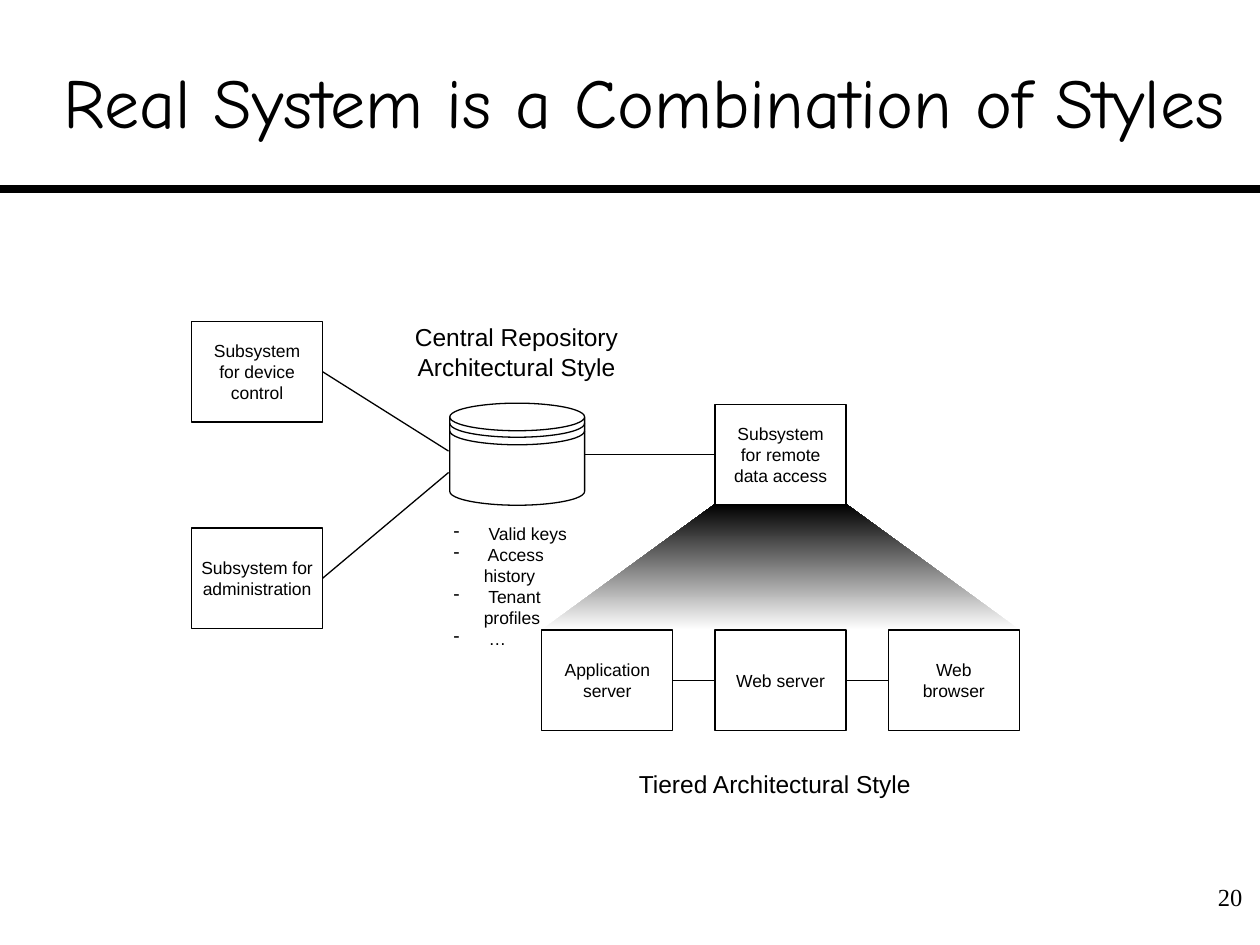
"""Build a slide that shows a system combining repository and tiered styles."""
from dataclasses import dataclass

from lxml.etree import SubElement
from pptx import Presentation
from pptx.dml.color import RGBColor
from pptx.enum.shapes import MSO_CONNECTOR as Connector, MSO_SHAPE as Shape
from pptx.enum.text import MSO_ANCHOR as Anchor, PP_ALIGN as Align
from pptx.oxml.ns import qn
from pptx.util import Inches, Pt

COLORS = {"ink": "000000", "paper": "FFFFFF"}
BOX_WIDTH, BOX_HEIGHT = 1.04, 0.8
TIER_LEFT, TIER_TOP, TIER_STEP = 4.3, 5, 1.375
REMOTE_TOP = 3.21
CAN_LEFT, CAN_TOP, CAN_WIDTH, CAN_HEIGHT = 3.57, 3.2, 1.07, 0.81
RIM_HEIGHT = 0.22
TOP, LEFT, BOTTOM, RIGHT = range(4)


@dataclass
class Subsystem:
    name: str
    text: str
    left: float
    top: float
    inset: float = 0.13


@dataclass
class Label:
    lines: list[str]
    left: float
    top: float
    width: float
    height: float
    size: int = 14
    font: str = "Arial"
    align: Align = Align.CENTER
    wrap: bool = True


@dataclass
class Link:
    end_box: str
    end_side: int
    start_box: str = ""
    start: tuple[float, float] = (0, 0)


SUBSYSTEMS = [
    Subsystem("device", "Subsystem for device control", 1.52, 2.55, 0.17),
    Subsystem("administration", "Subsystem for administration", 1.52, 4.19, 0.07),
    Subsystem("remote", "Subsystem for remote data access", TIER_LEFT + TIER_STEP, REMOTE_TOP),
] + [
    Subsystem(text, text, TIER_LEFT + index * TIER_STEP, TIER_TOP)
    for index, text in enumerate(["Application server", "Web server", "Web browser"])
]
LINKS = [
    Link("device", RIGHT, start=(3.56, 3.58)),
    Link("administration", RIGHT, start=(3.56, 3.75)),
    Link("remote", LEFT, start=(4.64, 3.61)),
    Link("Web server", LEFT, "Application server"),
    Link("Web browser", LEFT, "Web server"),
]
LABELS = [
    Label(["Central Repository", "Architectural Style"], 3.27, 2.56, 1.66, 0.47),
    Label(["Tiered Architectural Style"], 5.06, 6.1, 2.18, 0.23, wrap=False),
    Label(["20"], 9.42, 7, 0.44, 0.3, font="Times New Roman", align=Align.RIGHT),
]
CONTENTS = Label([" Valid keys", " Access history", " Tenant profiles", " …"],
                 3.6, 4.15, 1, 1, size=10, align=Align.LEFT)


def color(name: str) -> RGBColor:
    return RGBColor.from_string(COLORS[name])


def format_text(frame, size: int, font: str, align: Align) -> None:
    for para in frame.paragraphs:
        para.alignment = align
        for span in para.runs:
            span.font.size = Pt(size)
            span.font.name = font
            span.font.color.rgb = color("ink")


def set_insets(frame, side: float = 0, end: float = 0) -> None:
    frame.margin_left = frame.margin_right = Inches(side)
    frame.margin_top = frame.margin_bottom = Inches(end)


def add_outlined(page, kind: Shape, left: float, top: float, width: float, height: float):
    shape = page.shapes.add_shape(kind, Inches(left), Inches(top), Inches(width), Inches(height))
    shape.shadow.inherit = False
    shape.fill.solid()
    shape.fill.fore_color.rgb = color("paper")
    shape.line.color.rgb = color("ink")
    shape.line.width = Pt(0.75)
    return shape


def add_subsystem(page, item: Subsystem):
    box = add_outlined(page, Shape.RECTANGLE, item.left, item.top, BOX_WIDTH, BOX_HEIGHT)
    frame = box.text_frame
    frame.text = item.text
    frame.word_wrap = True
    frame.vertical_anchor = Anchor.MIDDLE
    set_insets(frame, item.inset)
    format_text(frame, 10, "Arial", Align.CENTER)
    return box


def add_label(page, label: Label):
    box = page.shapes.add_textbox(Inches(label.left), Inches(label.top),
                                  Inches(label.width), Inches(label.height))
    frame = box.text_frame
    frame.text = "\n".join(label.lines)
    frame.word_wrap = label.wrap
    set_insets(frame)
    format_text(frame, label.size, label.font, label.align)
    return box


def add_dashes(frame, indent: float) -> None:
    for para in frame.paragraphs:
        properties = para._p.get_or_add_pPr()
        properties.set("marL", str(Inches(indent)))
        properties.set("indent", str(-Inches(indent)))
        SubElement(properties, qn("a:buChar")).set("char", "-")


def add_line(page, start: tuple[float, float], end: tuple[float, float], width: float = 0.75):
    line = page.shapes.add_connector(Connector.STRAIGHT, *map(Inches, start + end))
    line.line.color.rgb = color("ink")
    line.line.width = Pt(width)
    SubElement(line._element.spPr, qn("a:effectLst"))
    return line


def add_link(page, link: Link, boxes: dict) -> None:
    line = add_line(page, link.start, link.start)
    if link.start_box:
        line.begin_connect(boxes[link.start_box], RIGHT)
    line.end_connect(boxes[link.end_box], link.end_side)


def add_projection(page) -> None:
    remote_left = TIER_LEFT + TIER_STEP
    tier_right = TIER_LEFT + 2 * TIER_STEP + BOX_WIDTH
    builder = page.shapes.build_freeform(Inches(TIER_LEFT), Inches(TIER_TOP))
    corners = [(remote_left, 4), (remote_left + BOX_WIDTH, 4), (tier_right, TIER_TOP)]
    builder.add_line_segments([(Inches(x), Inches(y)) for x, y in corners], close=True)
    shape = builder.convert_to_shape()
    shape.shadow.inherit = False
    shape.line.fill.background()
    shape.fill.gradient()
    shape.fill.gradient_angle = 90
    for stop, name in zip(shape.fill.gradient_stops, ["paper", "ink"]):
        stop.color.rgb = color(name)


def add_repository(page) -> None:
    can = add_outlined(page, Shape.CAN, CAN_LEFT, CAN_TOP, CAN_WIDTH, CAN_HEIGHT)
    can.adjustments[0] = 0.27
    for center in (3.36, 3.42):
        rim = add_outlined(page, Shape.ARC, CAN_LEFT, center - RIM_HEIGHT / 2,
                           CAN_WIDTH, RIM_HEIGHT)
        rim.fill.background()
        rim.adjustments[0] = 0
        rim.adjustments[1] = 108


def add_title(page, text: str) -> None:
    title = page.shapes.title
    title.left, title.top = Inches(0.42), Inches(0.17)
    title.width, title.height = Inches(9.38), Inches(1.25)
    frame = title.text_frame
    frame.text = text
    frame.vertical_anchor = Anchor.MIDDLE
    set_insets(frame, 0, 0.05)
    format_text(frame, 40, "Comic Neue", Align.CENTER)


def main() -> None:
    deck = Presentation()
    deck.slide_width, deck.slide_height = Inches(10), Inches(7.5)
    page = deck.slides.add_slide(deck.slide_layouts[5])
    add_title(page, "Real System is a Combination of Styles")
    add_line(page, (0, 1.5), (10, 1.5), 4.5)
    add_projection(page)
    add_repository(page)
    boxes = {item.name: add_subsystem(page, item) for item in SUBSYSTEMS}
    for link in LINKS:
        add_link(page, link, boxes)
    for label in LABELS:
        add_label(page, label)
    add_dashes(add_label(page, CONTENTS).text_frame, 0.24)
    deck.save("out.pptx")


if __name__ == "__main__":
    main()
